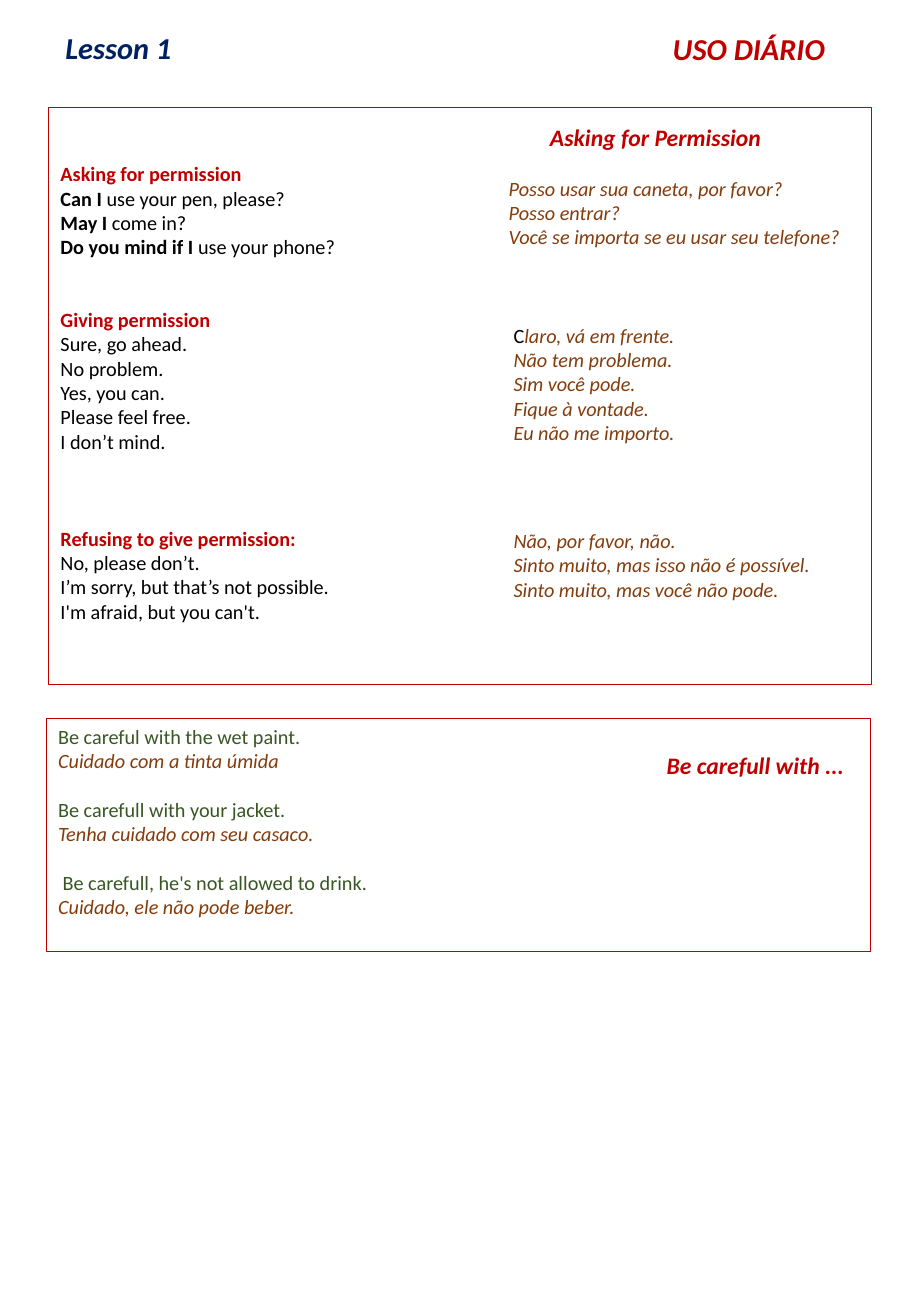
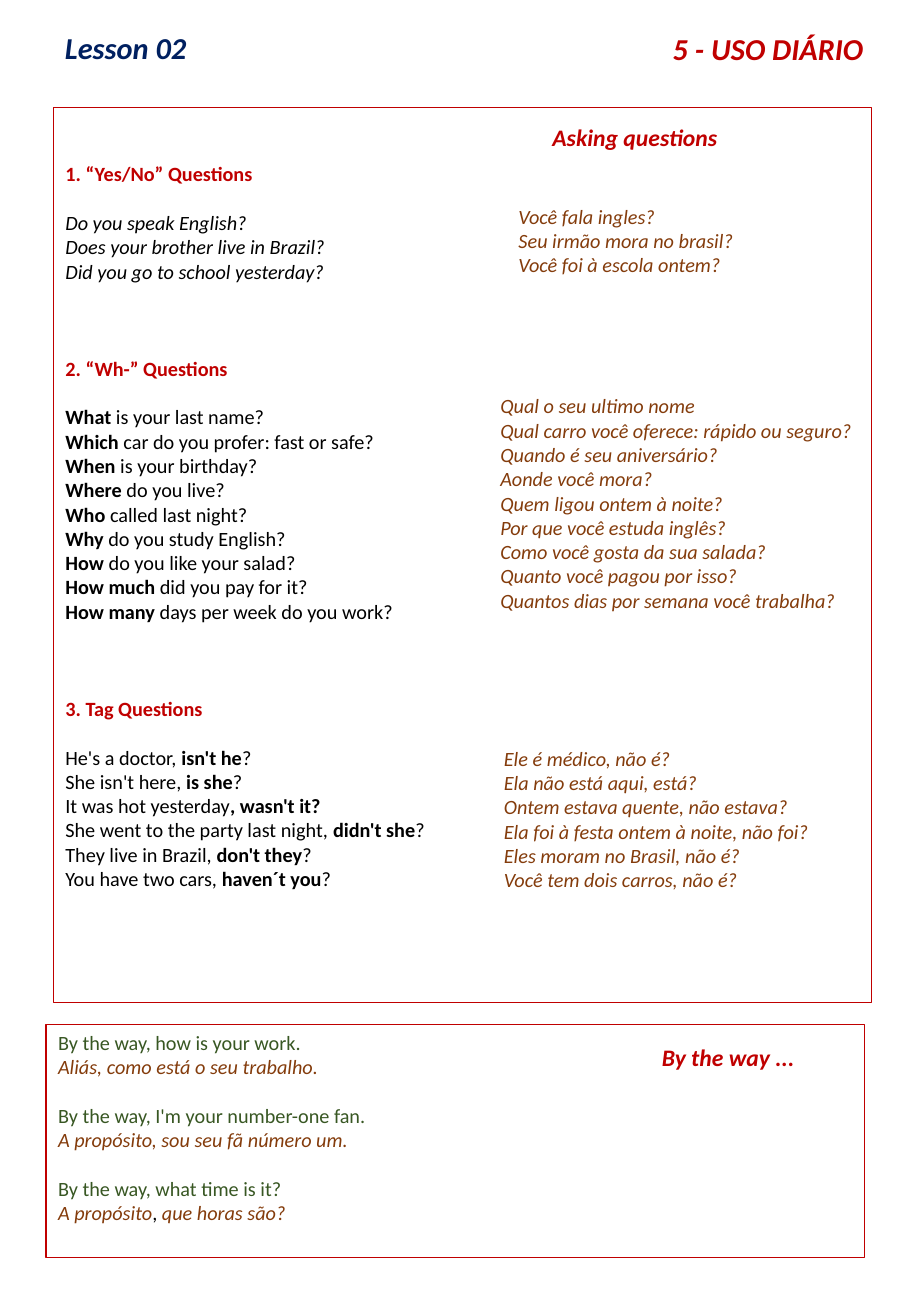
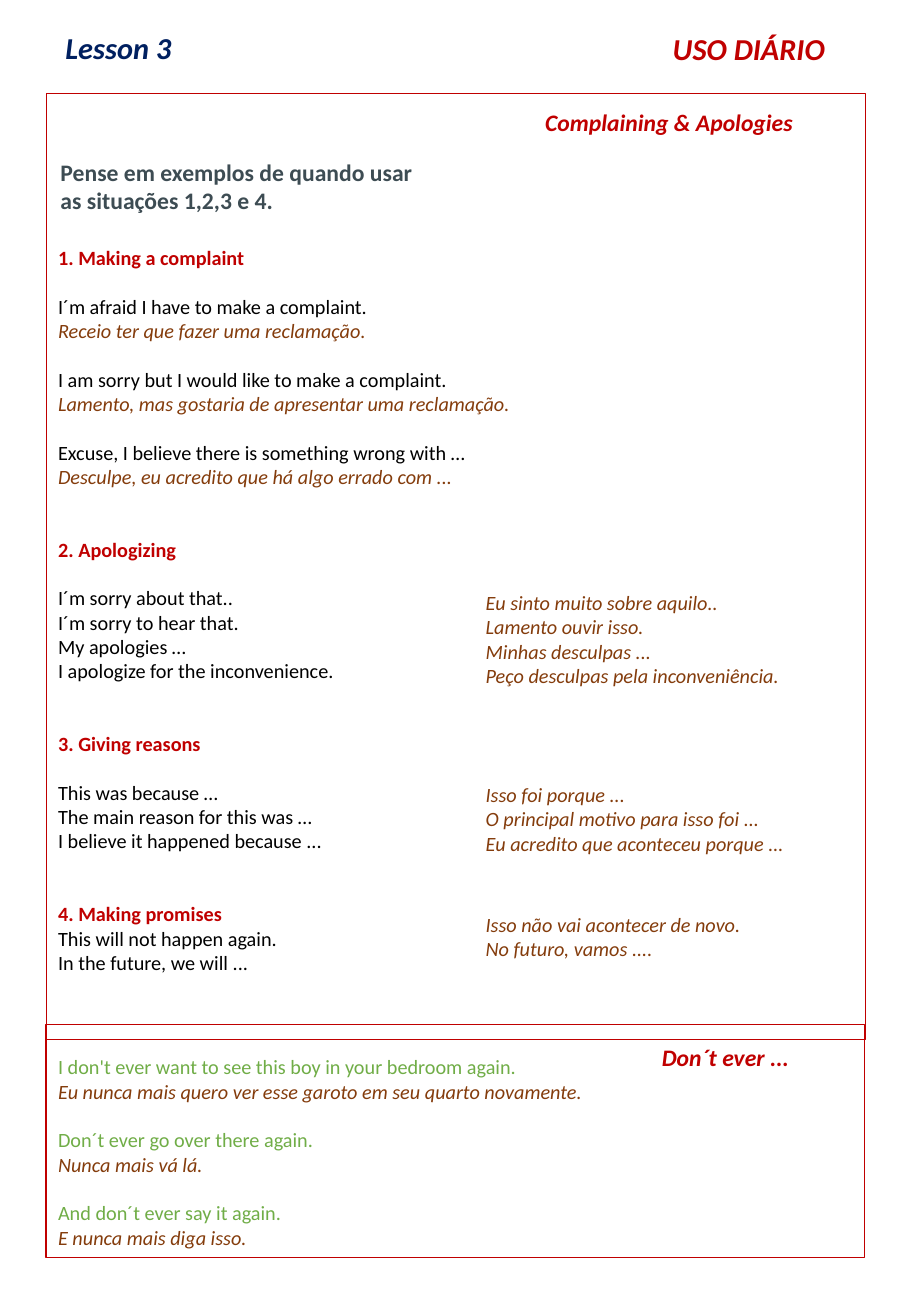
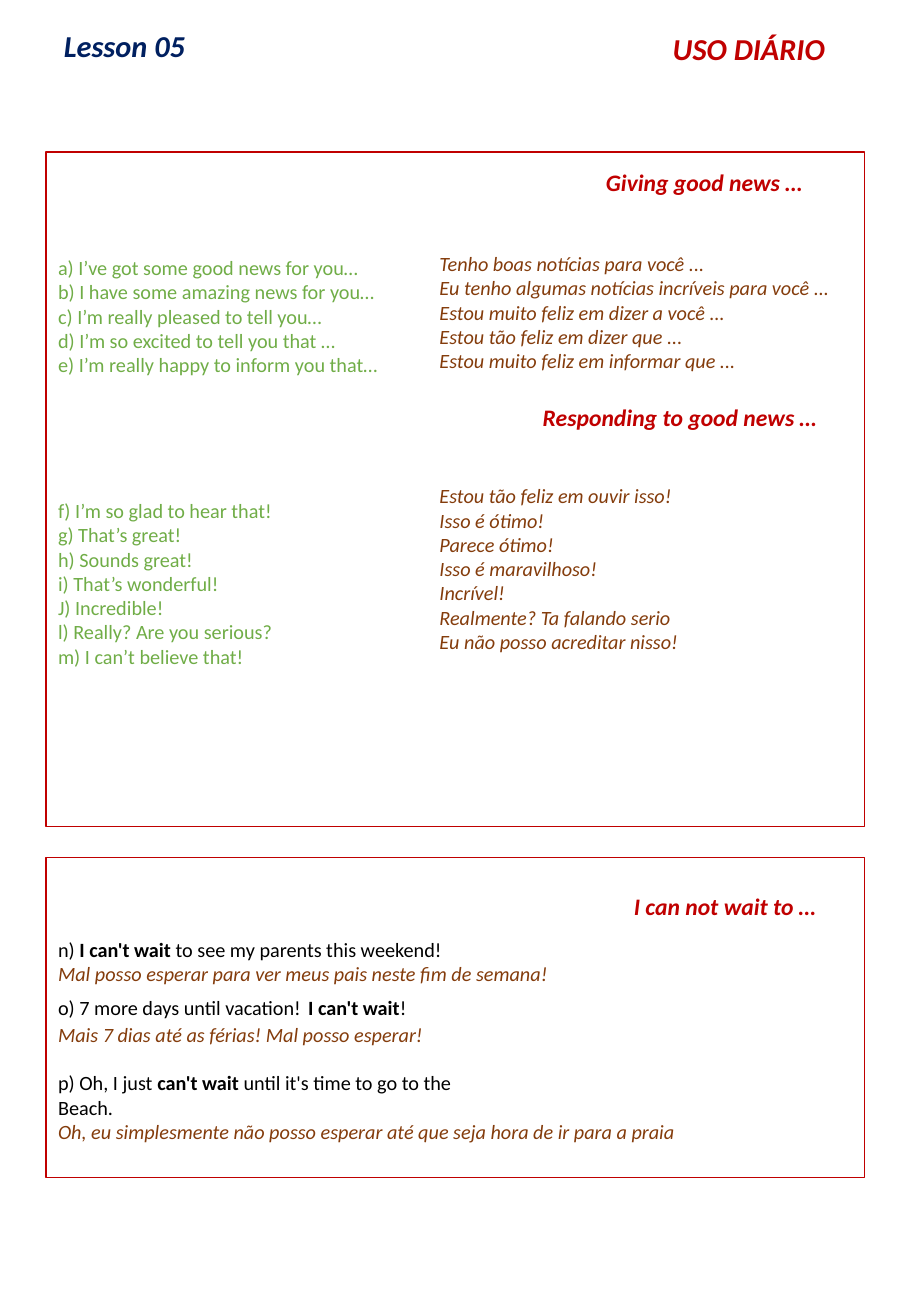
from dataclasses import dataclass, replace

from pptx import Presentation
from pptx import util as u
from pptx.dml import color as dml
from pptx.enum import shapes, text

FONT = "Calibri"
NAVY, RED, BROWN, SLATE = "002060", "C00000", "843C0C", "3D4C53"
BLACK, GREEN, LIME = "000000", "385723", "70AD47"
LINE_PT = 14.4
INSET = 0.05
TITLE_ONLY = 5


@dataclass(frozen=True)
class Style:
    color: str
    size: float = 12
    bold: bool = False
    italic: bool = False


@dataclass(frozen=True)
class Span:
    text: str
    style: Style


@dataclass(frozen=True)
class Line:
    """One paragraph; gap is the number of empty lines above it."""
    spans: tuple[Span, ...]
    gap: int = 0


@dataclass(frozen=True)
class Block:
    """Text at left, top, width, height; framed when border (points) is set."""
    at: tuple[float, float, float, float]
    lines: list[Line]
    border: float = 0


@dataclass(frozen=True)
class Lesson:
    title: str
    title_at: tuple[float, float, float, float]
    blocks: list[Block]
    banner: str = "USO DIÁRIO"
    title_spacing: float = 1.07


LESSON = Style(NAVY, 18, True, True)
BANNER = Style(RED, 18, True, True)
TOPIC = Style(RED, 14, True, True)
TASK = Style(SLATE, 14, True)
HEADING = Style(RED, bold=True)
ENGLISH = Style(BLACK)
ENGLISH_ITALIC = Style(BLACK, italic=True)
PORTUGUESE = Style(BROWN, italic=True)
GREEN_TEXT = Style(GREEN)
LIME_TEXT = Style(LIME)


def lines(style: Style, content: str, gap: int = 0) -> list[Line]:
    """One Line per row of content; *asterisks* enclose bold words."""
    result = []
    for index, row in enumerate(content.split("\n")):
        spans = tuple(Span(part, replace(style, bold=True) if odd % 2 else style)
                      for odd, part in enumerate(row.split("*")) if part)
        result.append(Line(spans, 0 if index else gap))
    return result


def section(heading: str, style: Style, content: str,
            gap: int = 0, inner_gap: int = 0) -> list[Line]:
    return lines(HEADING, heading, gap) + lines(style, content, inner_gap)


def pairs(style: Style, *phrases: tuple[str, str], lead: int = 0) -> list[Line]:
    """English phrases, each followed by its translation."""
    result = []
    for index, (english, portuguese) in enumerate(phrases):
        result += lines(style, english, 1 if index else lead)
        result += lines(PORTUGUESE, portuguese)
    return result


def topic(left: float, top: float, width: float, content: str) -> Block:
    return Block((left, top, width, 0.34), lines(TOPIC, content))


def translation(left: float, top: float, width: float, content: str) -> Block:
    rows = lines(PORTUGUESE, content)
    return Block((left, top, width, round(2 * INSET + 0.2 * len(rows), 2)), rows)


def rgb(value: str) -> dml.RGBColor:
    return dml.RGBColor.from_string(value)


def write(frame, content: list[Line]) -> None:
    for index, line in enumerate(content):
        para = frame.paragraphs[0] if index == 0 else frame.add_paragraph()
        if index and line.gap:
            para.space_before = u.Pt(LINE_PT * line.gap)
        for span in line.spans:
            run = para.add_run()
            run.text = span.text
            values = {"name": FONT, "size": u.Pt(span.style.size),
                      "bold": span.style.bold, "italic": span.style.italic}
            for name, value in values.items():
                setattr(run.font, name, value)
            run.font.color.rgb = rgb(span.style.color)


def add_block(page, block: Block) -> None:
    place = [u.Inches(value) for value in block.at]
    if block.border:
        box = page.shapes.add_shape(shapes.MSO_SHAPE.RECTANGLE, *place)
        box.shadow.inherit = False
        box.fill.background()
        box.line.color.rgb = rgb(RED)
        box.line.width = u.Pt(block.border)
    else:
        box = page.shapes.add_textbox(*place)
    frame = box.text_frame
    lead = block.lines[0].gap * LINE_PT / 72
    values = {"word_wrap": True, "auto_size": text.MSO_AUTO_SIZE.NONE,
              "vertical_anchor": text.MSO_ANCHOR.TOP,
              "margin_top": u.Inches(INSET + lead)}
    for name, value in values.items():
        setattr(frame, name, value)
    write(frame, block.lines)
    for para in frame.paragraphs:
        para.alignment = text.PP_ALIGN.LEFT


def add_title(page, lesson: Lesson) -> None:
    title = page.shapes.title
    for name, value in zip(("left", "top", "width", "height"), lesson.title_at):
        setattr(title, name, u.Inches(value))
    frame = title.text_frame
    values = {"word_wrap": False, "auto_size": text.MSO_AUTO_SIZE.NONE,
              "vertical_anchor": text.MSO_ANCHOR.TOP}
    for name, value in values.items():
        setattr(frame, name, value)
    write(frame, lines(LESSON, lesson.title))
    para = frame.paragraphs[0]
    para.alignment = text.PP_ALIGN.CENTER
    para.line_spacing = lesson.title_spacing


PERMISSION = Lesson("Lesson 1", (0.43, 0.17, 1.09, 0.43), [
    Block((0.4, 0.88, 6.77, 4.75),
          section("Asking for permission", ENGLISH,
                  "*Can I* use your pen, please?\n"
                  "*May I* come in?\n"
                  "*Do you mind if I* use your phone?", gap=2)
          + section("Giving permission", ENGLISH,
                    "Sure, go ahead.\nNo problem.\nYes, you can.\n"
                    "Please feel free.\nI don’t mind.", gap=2)
          + section("Refusing to give permission:", ENGLISH,
                    "No, please don’t.\n"
                    "I’m sorry, but that’s not possible.\n"
                    "I'm afraid, but you can't.", gap=3), 0.25),
    translation(4.09, 1.4, 3.77,
                "Posso usar sua caneta, por favor?\nPosso entrar?\n"
                "Você se importa se eu usar seu telefone?"),
    Block((4.13, 2.61, 1.57, 1.11),
          [Line((Span("C", ENGLISH), Span("laro, vá em frente.", PORTUGUESE)))]
          + lines(PORTUGUESE, "Não tem problema.\nSim você pode.\n"
                              "Fique à vontade.\nEu não me importo.")),
    topic(4.43, 0.96, 2.74, "Asking for Permission"),
    translation(4.13, 4.3, 3.77,
                "Não, por favor, não.\n"
                "Sinto muito, mas isso não é possível.\n"
                "Sinto muito, mas você não pode."),
    Block((0.38, 5.91, 6.79, 1.92), pairs(
        GREEN_TEXT,
        ("Be careful with the wet paint.", "Cuidado com a tinta úmida"),
        ("Be carefull with your jacket.", "Tenha cuidado com seu casaco."),
        (" Be carefull, he's not allowed to drink.",
         "Cuidado, ele não pode beber.")), 0.75),
    topic(5.39, 6.13, 1.78, "Be carefull with ..."),
])

QUESTIONS = Lesson("Lesson 02", (0.43, 0.17, 1.21, 0.43), [
    Block((0.44, 0.88, 6.73, 7.37),
          section("1. “Yes/No” Questions", ENGLISH_ITALIC,
                  "Do you speak English?\n"
                  "Does your brother live in Brazil?\n"
                  "Did you go to school yesterday?", gap=2, inner_gap=1)
          + section("2. “Wh-” Questions", ENGLISH,
                    "*What *is your last name?\n"
                    "*Which *car do you profer: fast or safe?\n"
                    "*When *is your birthday?\n"
                    "*Where *do you live?\n"
                    "*Who *called last night?\n"
                    "*Why *do you study English?\n"
                    "*How *do you like your salad?\n"
                    "*How much* did you pay for it?\n"
                    "*How many* days per week do you work?",
                    gap=3, inner_gap=1)
          + section("3. Tag Questions", ENGLISH,
                    "He's a doctor, *isn't he*?\n"
                    "She isn't here, *is she*?\n"
                    "It was hot yesterday*, wasn't it?*\n"
                    "She went to the party last night, *didn't she*?\n"
                    "They live in Brazil, *don't they*?\n"
                    "You have two cars, *haven´t you*?",
                    gap=3, inner_gap=1), 0.25),
    translation(4.17, 1.63, 3.75,
                "Você fala ingles?\nSeu irmão mora no brasil?\n"
                "Você foi à escola ontem?"),
    topic(4.45, 0.96, 2.73, "Asking questions"),
    translation(4.02, 3.19, 3.75,
                "Qual o seu ultimo nome\n"
                "Qual carro você oferece: rápido ou seguro?\n"
                "Quando é seu aniversário?\n"
                "Aonde você mora?\n"
                "Quem ligou ontem à noite?\n"
                "Por que você estuda inglês?\n"
                "Como você gosta da sua salada?\n"
                "Quanto você pagou por isso?\n"
                "Quantos dias por semana você trabalha?"),
    Block((0.38, 8.43, 6.74, 1.92),
          pairs(GREEN_TEXT,
                ("By the way, how is your work.",
                 "Aliás, como está o seu trabalho."),
                ("By the way, I'm your number-one fan.",
                 "A propósito, sou seu fã número um."))
          + lines(GREEN_TEXT, "By the way, what time is it?", 1)
          + [Line((Span("A propósito", PORTUGUESE), Span(", ", ENGLISH),
                   Span("que horas são?", PORTUGUESE)))], 0.75),
    topic(5.35, 8.53, 1.78, "By the way ..."),
    translation(4.05, 6.09, 3.75,
                "Ele é médico, não é?\n"
                "Ela não está aqui, está?\n"
                "Ontem estava quente, não estava?\n"
                "Ela foi à festa ontem à noite, não foi?\n"
                "Eles moram no Brasil, não é?\n"
                "Você tem dois carros, não é?"),
], banner="5 - USO DIÁRIO")

COMPLAINTS = Lesson("Lesson 3", (0.43, 0.17, 1.09, 0.43), [
    Block((0.38, 0.77, 6.74, 7.78),
          lines(HEADING, "1. Making a complaint", 6)
          + pairs(ENGLISH,
                  ("I´m afraid I have to make a complaint.",
                   "Receio ter que fazer uma reclamação."),
                  ("I am sorry but I would like to make a complaint.",
                   "Lamento, mas gostaria de apresentar uma reclamação."),
                  ("Excuse, I believe there is something wrong with …",
                   "Desculpe, eu acredito que há algo errado com ..."),
                  lead=1)
          + section("2. Apologizing", ENGLISH,
                    "I´m sorry about that..\nI´m sorry to hear that.\n"
                    "My apologies …\nI apologize for the inconvenience.",
                    gap=2, inner_gap=1)
          + section("3. Giving reasons", ENGLISH,
                    "This was because …\nThe main reason for this was …\n"
                    "I believe it happened because ...",
                    gap=2, inner_gap=1)
          + section("4. Making promises", ENGLISH,
                    "This will not happen again.\nIn the future, we will ...",
                    gap=2), 0.25),
    topic(4.39, 0.84, 2.73, "Complaining & Apologies"),
    translation(3.9, 4.81, 3.75,
                "Eu sinto muito sobre aquilo..\nLamento ouvir isso.\n"
                "Minhas desculpas ...\nPeço desculpas pela inconveniência."),
    Block((0.38, 8.43, 6.74, 1.92), pairs(
        LIME_TEXT,
        ("I don't ever want to see this boy in your bedroom again.",
         "Eu nunca mais quero ver esse garoto em seu quarto novamente."),
        ("Don´t ever go over there again.", "Nunca mais vá lá."),
        ("And don´t ever say it again.", "E nunca mais diga isso."),
        lead=1), 0.75),
    topic(5.35, 8.53, 1.78, "Don´t ever ..."),
    translation(3.9, 6.39, 3.09,
                "Isso foi porque ...\nO principal motivo para isso foi ...\n"
                "Eu acredito que aconteceu porque ..."),
    translation(3.9, 7.46, 3,
                "Isso não vai acontecer de novo.\nNo futuro, vamos ...."),
    Block((0.4, 1.25, 7.36, 0.57),
          lines(TASK, "Pense em exemplos de quando usar\n"
                      "as situações 1,2,3 e 4.")),
])

GOOD_NEWS = Lesson("Lesson 05", (0.42, 0.17, 1.21, 0.4), [
    Block((0.38, 1.25, 6.74, 5.55),
          lines(LIME_TEXT,
                "a) I’ve got some good news for you…\n"
                "b) I have some amazing news for you…\n"
                "c) I’m really pleased to tell you…\n"
                "d) I’m so excited to tell you that …\n"
                "e) I’m really happy to inform you that…", 4)
          + lines(LIME_TEXT,
                  "f) I’m so glad to hear that!\ng) That’s great!\n"
                  "h) Sounds great!\ni) That’s wonderful!\nJ) Incredible!\n"
                  "l) Really? Are you serious?\nm) I can’t believe that!", 5),
          0.75),
    topic(5.12, 7.29, 1.78, "I can not wait to …"),
    translation(3.52, 2.02, 4.74,
                "Tenho boas notícias para você ...\n"
                "Eu tenho algumas notícias incríveis para você ...\n"
                "Estou muito feliz em dizer a você ...\n"
                "Estou tão feliz em dizer que ...\n"
                "Estou muito feliz em informar que ..."),
    Block((0.38, 7.06, 6.74, 2.63),
          pairs(ENGLISH,
                ("n) *I can't wait* to see my parents this weekend!",
                 "Mal posso esperar para ver meus pais neste fim de semana!"),
                lead=3)
          + [Line((Span("o) 7 more days until vacation!", ENGLISH),
                   Span(" ", replace(ENGLISH, size=18)),
                   Span("I can't wait", replace(ENGLISH, bold=True)),
                   Span("!", ENGLISH)))]
          + lines(PORTUGUESE, "Mais 7 dias até as férias! Mal posso esperar!")
          + pairs(ENGLISH,
                  ("p) Oh, I just *can't wait* until it's time to go to the\n"
                   "Beach.",
                   "Oh, eu simplesmente não posso esperar até que seja hora "
                   "de ir para a praia"), lead=1), 0.75),
    topic(4.89, 1.33, 2.01, "Giving good news …"),
    topic(4.37, 3.27, 2.57, "Responding to good news …"),
    translation(3.52, 3.93, 3,
                "Estou tão feliz em ouvir isso!\nIsso é ótimo!\n"
                "Parece ótimo!\nIsso é maravilhoso!\nIncrível!\n"
                "Realmente? Ta falando serio\nEu não posso acreditar nisso!"),
], title_spacing=1.0)


def main() -> None:
    deck = Presentation()
    deck.slide_width, deck.slide_height = u.Inches(7.5), u.Inches(10.83)
    for lesson in (PERMISSION, QUESTIONS, COMPLAINTS, GOOD_NEWS):
        page = deck.slides.add_slide(deck.slide_layouts[TITLE_ONLY])
        add_title(page, lesson)
        banner = Block((5.44, 0.2, 3, 0.4), lines(BANNER, lesson.banner))
        for block in lesson.blocks + [banner]:
            add_block(page, block)
    deck.save("out.pptx")


if __name__ == "__main__":
    main()
